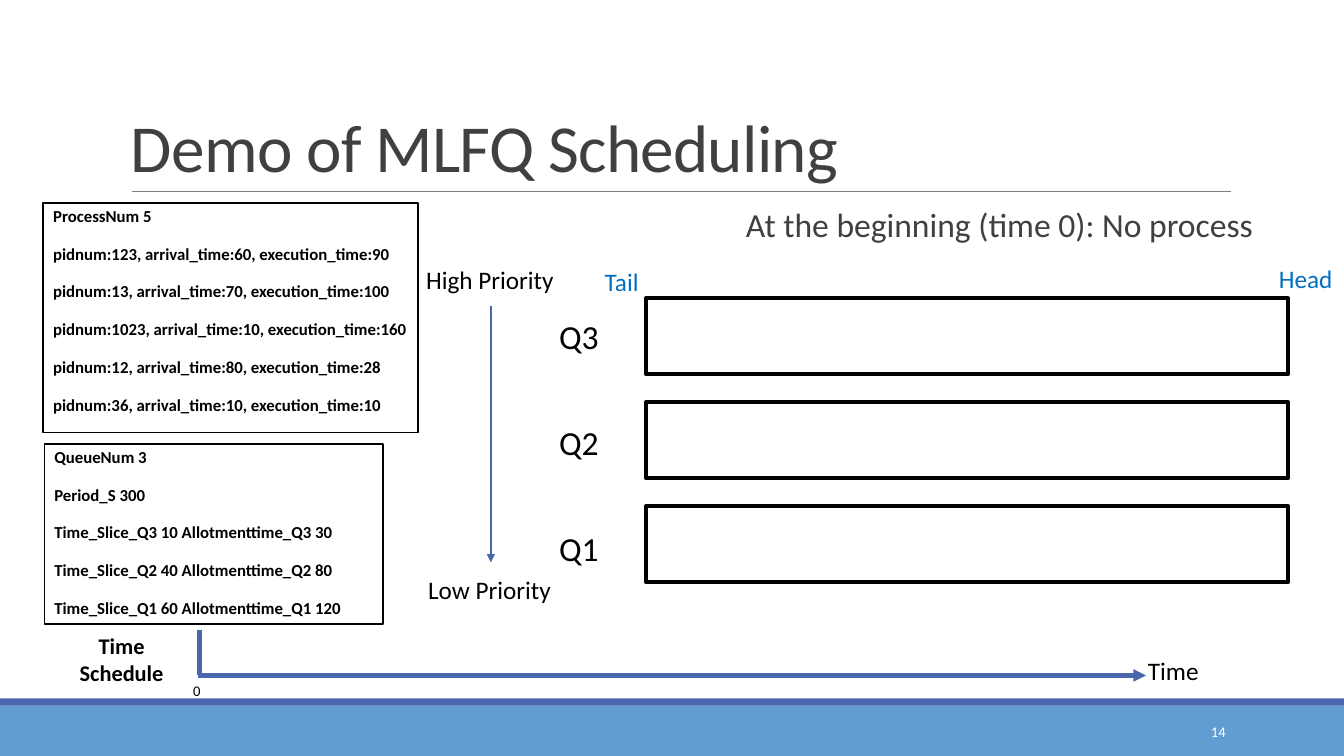
from typing import NamedTuple

from lxml import etree
from pptx import Presentation
from pptx import util as u
from pptx.dml.color import RGBColor
from pptx.enum import shapes, text
from pptx.oxml.ns import qn

HUES = {
    "black": "000000", "white": "FFFFFF", "dark": "404040", "gray": "808080",
    "navy": "4A66AC", "sky": "629DD1", "blue": "0070C0",
}
FONT = "Calibri"
LEFT, MID, RIGHT = text.PP_ALIGN.LEFT, text.PP_ALIGN.CENTER, text.PP_ALIGN.RIGHT
TOP, CENTER, BOTTOM = (text.MSO_ANCHOR.TOP, text.MSO_ANCHOR.MIDDLE,
                       text.MSO_ANCHOR.BOTTOM)


class Area(NamedTuple):
    """Left, top, width and height in centimetres."""
    x: float
    y: float
    w: float
    h: float


class Label(NamedTuple):
    words: str
    area: Area
    size: float = 18
    hue: str = "black"
    bold: bool = False
    align: text.PP_ALIGN = LEFT


class Line(NamedTuple):
    x1: float
    y1: float
    x2: float
    y2: float
    width: float
    hue: str = "navy"
    arrow: bool = False


class Panel(NamedTuple):
    area: Area
    rows: list[str]


def color(name: str) -> RGBColor:
    return RGBColor.from_string(HUES[name])


def write(frame, words: str, *, size: float, hue: str = "black",
          bold: bool = False, align=LEFT, anchor=TOP, wrap: bool = True,
          inset: float = 0.25, lead: float = 1, before: float = 0,
          after: float = 0, track: int = 0) -> None:
    frame.word_wrap = wrap
    frame.vertical_anchor = anchor
    frame.margin_left = frame.margin_right = u.Cm(inset)
    frame.margin_top = frame.margin_bottom = u.Cm(0.13)
    for i, row in enumerate(words.split("\n")):
        para = frame.paragraphs[0] if i == 0 else frame.add_paragraph()
        para.alignment = align
        para.line_spacing = lead
        para.space_before = u.Pt(before if i else 0)
        para.space_after = u.Pt(after)
        run = para.add_run()
        run.text = row
        run.font.name = FONT
        run.font.size = u.Pt(size)
        run.font.bold = bold
        run.font.color.rgb = color(hue)
        if track:
            run.font._element.set("spc", str(track))


def add_text(slide, area: Area, words: str, **style) -> None:
    box = slide.shapes.add_textbox(*map(u.Cm, area))
    write(box.text_frame, words, **style)


def add_label(slide, label: Label) -> None:
    add_text(slide, label.area, label.words, size=label.size, hue=label.hue,
             bold=label.bold, align=label.align, wrap=False)


def add_rect(slide, area: Area, fill: str, width: float = 0):
    rect = slide.shapes.add_shape(shapes.MSO_SHAPE.RECTANGLE, *map(u.Cm, area))
    rect.shadow.inherit = False
    rect.fill.solid()
    rect.fill.fore_color.rgb = color(fill)
    if width:
        rect.line.color.rgb = color("black")
        rect.line.width = u.Pt(width)
    else:
        rect.line.fill.background()
    return rect


def add_line(slide, line: Line) -> None:
    link = slide.shapes.add_connector(
        shapes.MSO_CONNECTOR.STRAIGHT, *map(u.Cm, line[:4]))
    link.line.color.rgb = color(line.hue)
    link.line.width = u.Pt(line.width)
    if line.arrow:
        etree.SubElement(link.line._get_or_add_ln(), qn("a:tailEnd"),
                         type="triangle")
    etree.SubElement(link._element.spPr, qn("a:effectLst"))


PANELS = [
    Panel(Area(1.09, 5.11, 9.45, 5.79), [
        "ProcessNum 5",
        "pidnum:123, arrival_time:60, execution_time:90",
        "pidnum:13, arrival_time:70, execution_time:100",
        "pidnum:1023, arrival_time:10, execution_time:160",
        "pidnum:12, arrival_time:80, execution_time:28",
        "pidnum:36, arrival_time:10, execution_time:10",
    ]),
    Panel(Area(1.12, 11.18, 8.53, 4.55), [
        "QueueNum 3",
        "Period_S 300",
        "Time_Slice_Q3 10 Allotmenttime_Q3 30",
        "Time_Slice_Q2 40 Allotmenttime_Q2 80",
        "Time_Slice_Q1 60 Allotmenttime_Q1 120",
    ]),
]

LABELS = [
    Label("High Priority", Area(10.49, 6.53, 3.76, 1.02)),
    Label("Low Priority", Area(10.54, 14.35, 3.63, 1.02)),
    Label("Tail", Area(14.99, 6.58, 1.37, 1.02), hue="blue"),
    Label("Head", Area(31.98, 6.5, 1.88, 1.02), hue="blue"),
    Label("Time\nSchedule", Area(1.73, 15.8, 2.67, 1.63), 16, bold=True,
          align=MID),
    Label("Time", Area(28.68, 16.38, 1.8, 1.02)),
    Label("0", Area(4.62, 17.04, 0.71, 0.74), 10.5),
]

LINES = [
    Line(12.37, 7.7, 12.37, 14.17, 1, arrow=True),   # priority
    Line(4.98, 17.02, 28.88, 17.02, 3, arrow=True),  # time axis
    Line(5.03, 15.88, 5.03, 17.02, 3),               # time zero
]


def main() -> None:
    deck = Presentation()
    deck.slide_width, deck.slide_height = u.Cm(33.87), u.Cm(19.05)
    slide = deck.slides.add_slide(deck.slide_layouts[6])

    # Footer bands and title
    add_rect(slide, Area(0, 17.78, 33.87, 1.27), "sky")
    add_rect(slide, Area(0, 17.6, 33.87, 0.18), "navy")
    add_line(slide, Line(3.33, 4.83, 31.01, 4.83, 0.5, "gray"))
    add_text(slide, Area(3.05, 0.79, 27.94, 4.04), "Demo of MLFQ Scheduling",
             size=48, hue="dark", anchor=BOTTOM, lead=0.85, track=-50)
    add_text(slide, Area(18.8, 5.13, 14.4, 1.2),
             "At the beginning (time 0): No process",
             size=24, hue="dark", inset=0, lead=0.9)
    add_text(slide, Area(27.51, 17.93, 3.63, 1.02), "14", size=10.5,
             hue="white", align=RIGHT, anchor=CENTER)

    # Queues, highest priority first
    for i, name in enumerate(["Q3", "Q2", "Q1"]):
        add_rect(slide, Area(16.28, 7.52 + 2.62 * i, 16.18, 1.91), "white", 3)
        add_label(slide, Label(name, Area(13.84, 7.82 + 2.68 * i, 1.52, 1.27),
                               24))

    # Input panels
    for panel in PANELS:
        rect = add_rect(slide, panel.area, "white", 1.25)
        write(rect.text_frame, "\n".join(panel.rows), size=12, bold=True,
              lead=0.9, before=12, after=2)

    # Arrows and labels
    for line in LINES:
        add_line(slide, line)
    for label in LABELS:
        add_label(slide, label)

    deck.save("out.pptx")


if __name__ == "__main__":
    main()
